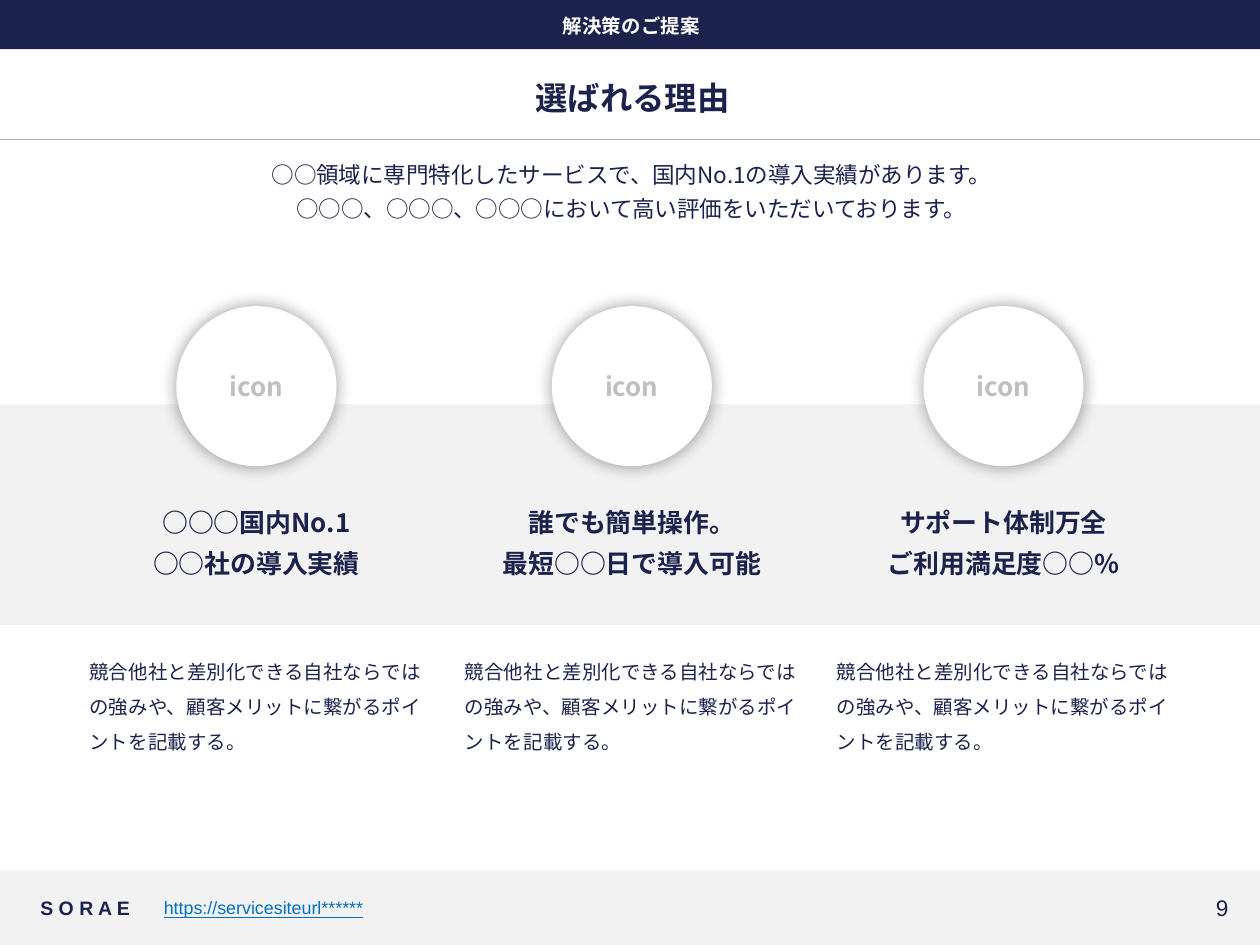
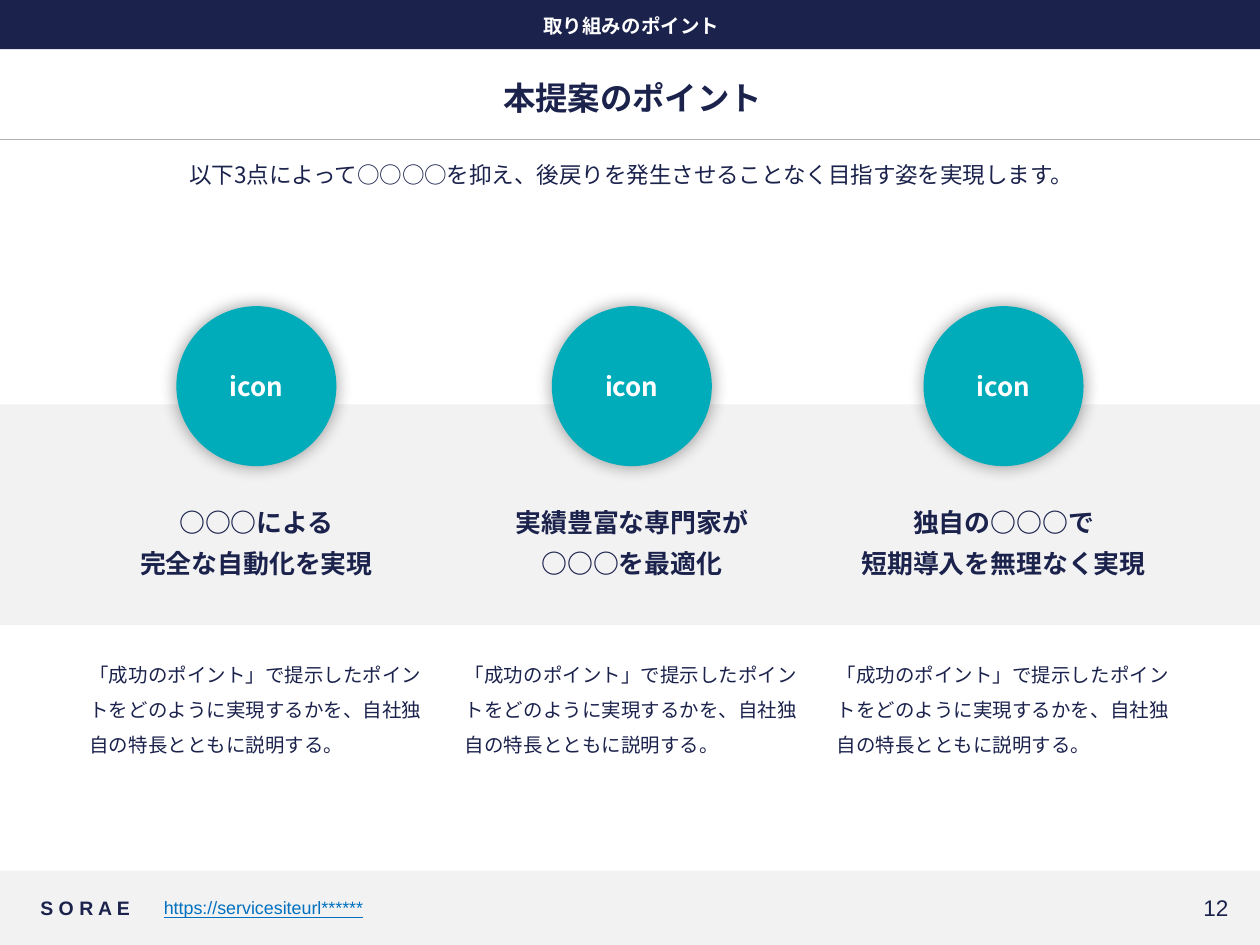
from dataclasses import dataclass

from lxml.etree import SubElement
from pptx import Presentation
from pptx.dml.color import RGBColor
from pptx.enum.lang import MSO_LANGUAGE_ID as LANG
from pptx.enum.shapes import MSO_CONNECTOR as CONN, MSO_SHAPE as SHAPE
from pptx.enum.text import MSO_ANCHOR as ANCHOR, PP_ALIGN as ALIGN
from pptx.oxml.ns import qn
from pptx.shapes.autoshape import Shape
from pptx.slide import Slide
from pptx.util import Inches, Pt

NAVY, GRAY, WHITE = "1B224C", "F2F2F2", "FFFFFF"
RULE, LINK, TEAL, SILVER = "AFAFAF", "0070C0", "00ACBA", "BFBFBF"
JP, LATIN = "Noto Sans CJK JP", "Arial"
BRAND, URL = "S O R A E", "https://servicesiteurl******"
WIDTH = 10
COLUMN_X, COLUMN_W, ICON_D = (0.67, 3.65, 6.6), 2.73, 1.27


@dataclass(frozen=True)
class Point:
    """One column: a two-line heading and its description."""
    heading: tuple[str, str]
    body: str


@dataclass(frozen=True)
class PointsSlide:
    """Everything that differs between the three-point slides."""
    section: str
    title: str
    lead: tuple[str, ...]
    number: int
    icon_fill: str
    icon_color: str
    body_top: float
    body_height: float
    points: tuple[Point, ...]


STRENGTH = "競合他社と差別化できる自社ならではの強みや、顧客メリットに繋がるポイントを記載する。"
METHOD = "「成功のポイント」で提示したポイントをどのように実現するかを、自社独自の特長とともに説明する。"

SLIDES = (
    PointsSlide(
        "解決策のご提案", "選ばれる理由",
        ("○○領域に専門特化したサービスで、国内No.1の導入実績があります。",
         "○○○、○○○、○○○において高い評価をいただいております。"),
        9, WHITE, SILVER, 5.11, 1.27,
        (Point(("○○○国内No.1", "○○社の導入実績"), STRENGTH),
         Point(("誰でも簡単操作。", "最短○○日で導入可能"), STRENGTH),
         Point(("サポート体制万全", "ご利用満足度○○%"), STRENGTH))),
    PointsSlide(
        "取り組みのポイント", "本提案のポイント",
        ("以下3点によって○○○○を抑え、後戻りを発生させることなく目指す姿を実現します。",),
        12, TEAL, WHITE, 5.13, 1.05,
        (Point(("○○○による", "完全な自動化を実現"), METHOD),
         Point(("実績豊富な専門家が", "○○○を最適化"), METHOD),
         Point(("独自の○○○で", "短期導入を無理なく実現"), METHOD))),
)


def rgb(value: str) -> RGBColor:
    """Turn a hex string into a colour."""
    return RGBColor.from_string(value)


def write(sp: Shape, *lines: str, size: float, color: str = NAVY, font: str = JP,
          bold: bool = False, underline: bool = False, align: ALIGN = ALIGN.LEFT,
          anchor: ANCHOR = ANCHOR.MIDDLE, after: float = 0, spacing: float = 1.0,
          inset: float = 0.04) -> None:
    """Fill a shape with one formatted paragraph per line."""
    tf = sp.text_frame
    tf.word_wrap = True
    tf.vertical_anchor = anchor
    tf.margin_left = tf.margin_right = tf.margin_top = tf.margin_bottom = Inches(inset)
    for i, line in enumerate(lines):
        p = tf.add_paragraph() if i else tf.paragraphs[0]
        p.alignment, p.space_after, p.line_spacing = align, Pt(after), spacing
        r = p.add_run()
        r.text = line
        f = r.font
        f.name, f.size, f.bold, f.underline = font, Pt(size), bold, underline
        f.color.rgb = rgb(color)
        f.language_id = LANG.JAPANESE
        SubElement(r._r.get_or_add_rPr(), qn("a:ea"), typeface=JP)


def add_text(s: Slide, x: float, y: float, w: float, h: float, *lines: str, **fmt) -> None:
    """Add a text box holding the given lines."""
    write(s.shapes.add_textbox(Inches(x), Inches(y), Inches(w), Inches(h)), *lines, **fmt)


def add_filled(s: Slide, kind: SHAPE, x: float, y: float, w: float, h: float,
               fill: str) -> Shape:
    """Add a plain preset shape without outline or shadow."""
    sp = s.shapes.add_shape(kind, Inches(x), Inches(y), Inches(w), Inches(h))
    sp.shadow.inherit = False
    sp.fill.solid()
    sp.fill.fore_color.rgb = rgb(fill)
    sp.line.fill.background()
    return sp


def add_band(s: Slide, y: float, h: float, fill: str) -> None:
    """Add a rectangle across the full slide width."""
    add_filled(s, SHAPE.RECTANGLE, 0, y, WIDTH, h, fill)


def add_rule(s: Slide, y: float) -> None:
    """Add a thin line across the full slide width."""
    line = s.shapes.add_connector(CONN.STRAIGHT, 0, Inches(y), Inches(WIDTH), Inches(y))
    line.line.color.rgb = rgb(RULE)
    line.line.width = Pt(0.5)
    SubElement(line._element.spPr, qn("a:effectLst"))


def add_icon(s: Slide, x: float, fill: str, color: str) -> None:
    """Add a circle with a soft glow-like shadow and an icon label."""
    sp = add_filled(s, SHAPE.OVAL, x, 2.43, ICON_D, ICON_D, fill)
    effects = sp._element.spPr.find(qn("a:effectLst"))
    shadow = SubElement(effects, qn("a:outerShdw"), blurRad=str(Pt(10)), dist="0",
                        dir="0", algn="ctr", rotWithShape="0")
    black = SubElement(shadow, qn("a:srgbClr"), val="000000")
    SubElement(black, qn("a:alpha"), val="40000")
    write(sp, "icon", size=14.8, color=color, bold=True, align=ALIGN.CENTER)


def add_frame(s: Slide, data: PointsSlide) -> None:
    """Draw the header, title, lead and footer that all slides share."""
    add_band(s, 6.91, 0.59, GRAY)
    add_text(s, 1.26, 7.05, 7.28, 0.31, URL, size=10.2, font=LATIN, color=LINK, underline=True)
    add_text(s, 0.28, 7.05, 0.98, 0.31, BRAND, size=11.1, font=LATIN, bold=True)
    add_text(s, 8.81, 7.05, 0.98, 0.31, str(data.number), size=12.9, font=LATIN,
             align=ALIGN.RIGHT)
    add_rule(s, 1.11)
    add_band(s, -0.01, 0.4, NAVY)
    add_text(s, 0.47, 0.07, 9.08, 0.28, data.section, size=11.1, color=WHITE, bold=True,
             align=ALIGN.CENTER, anchor=ANCHOR.TOP)
    add_text(s, 0.48, 0.58, 9.08, 0.39, data.title, size=18.5, bold=True, align=ALIGN.CENTER)
    add_text(s, 0.47, 1.24, 9.08, 0.63, *data.lead, size=12.9, after=3.7,
             align=ALIGN.CENTER, anchor=ANCHOR.TOP)


def add_points(s: Slide, data: PointsSlide) -> None:
    """Draw the grey band and the three columns on it."""
    add_band(s, 3.21, 1.75, GRAY)
    for x, point in zip(COLUMN_X, data.points):
        add_icon(s, x + (COLUMN_W - ICON_D) / 2, data.icon_fill, data.icon_color)
        add_text(s, x, 3.94, COLUMN_W, 0.73, *point.heading, size=14.8, bold=True,
                 after=5.5, align=ALIGN.CENTER)
        add_text(s, x, data.body_top, COLUMN_W, data.body_height, point.body, size=11.1,
                 font=LATIN, anchor=ANCHOR.TOP, after=4, spacing=1.5)


def main() -> None:
    """Build and save the presentation."""
    prs = Presentation()
    prs.slide_width, prs.slide_height = Inches(WIDTH), Inches(7.5)
    for data in SLIDES:
        s = prs.slides.add_slide(prs.slide_layouts[6])
        add_frame(s, data)
        add_points(s, data)
    prs.save("out.pptx")


if __name__ == "__main__":
    main()
